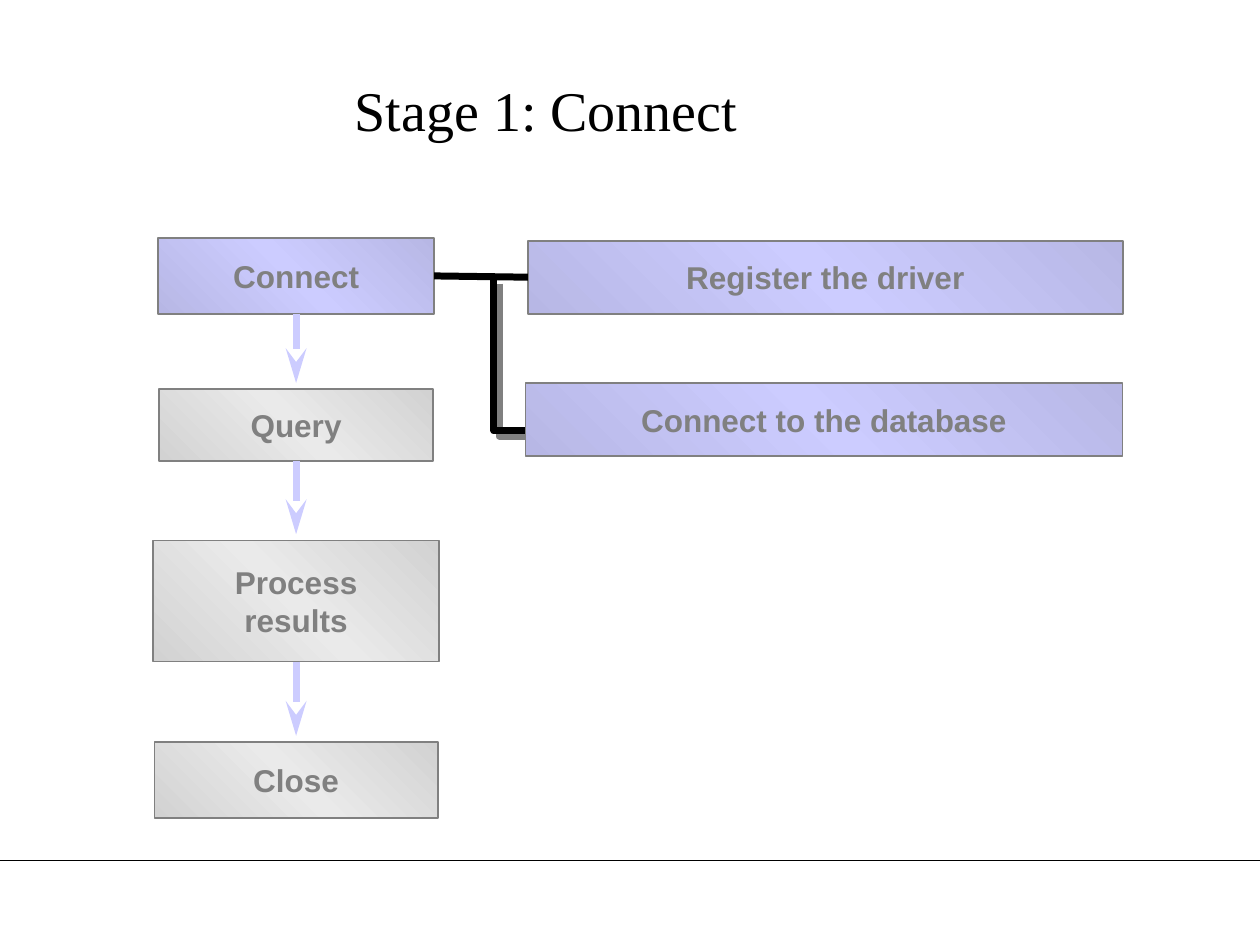
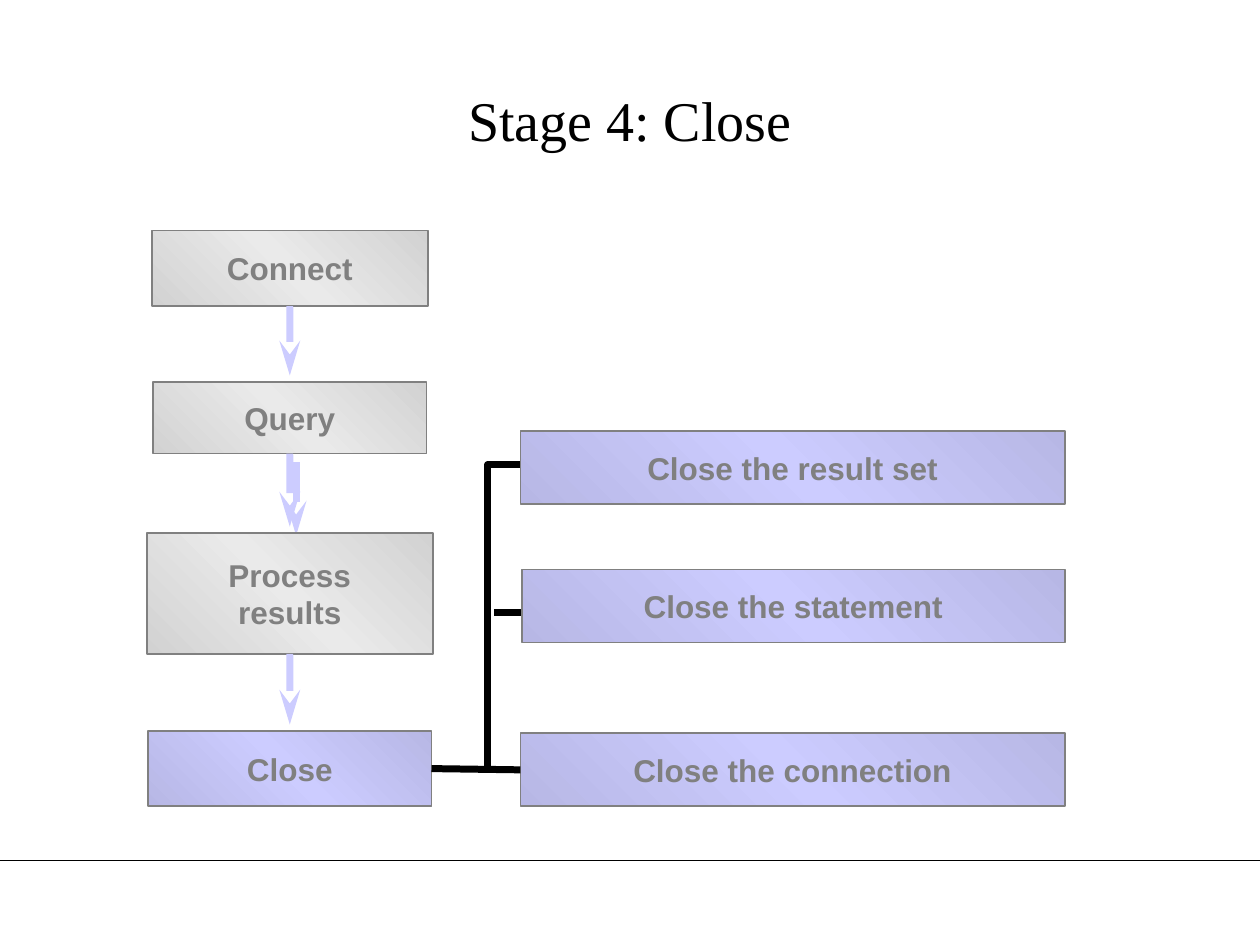
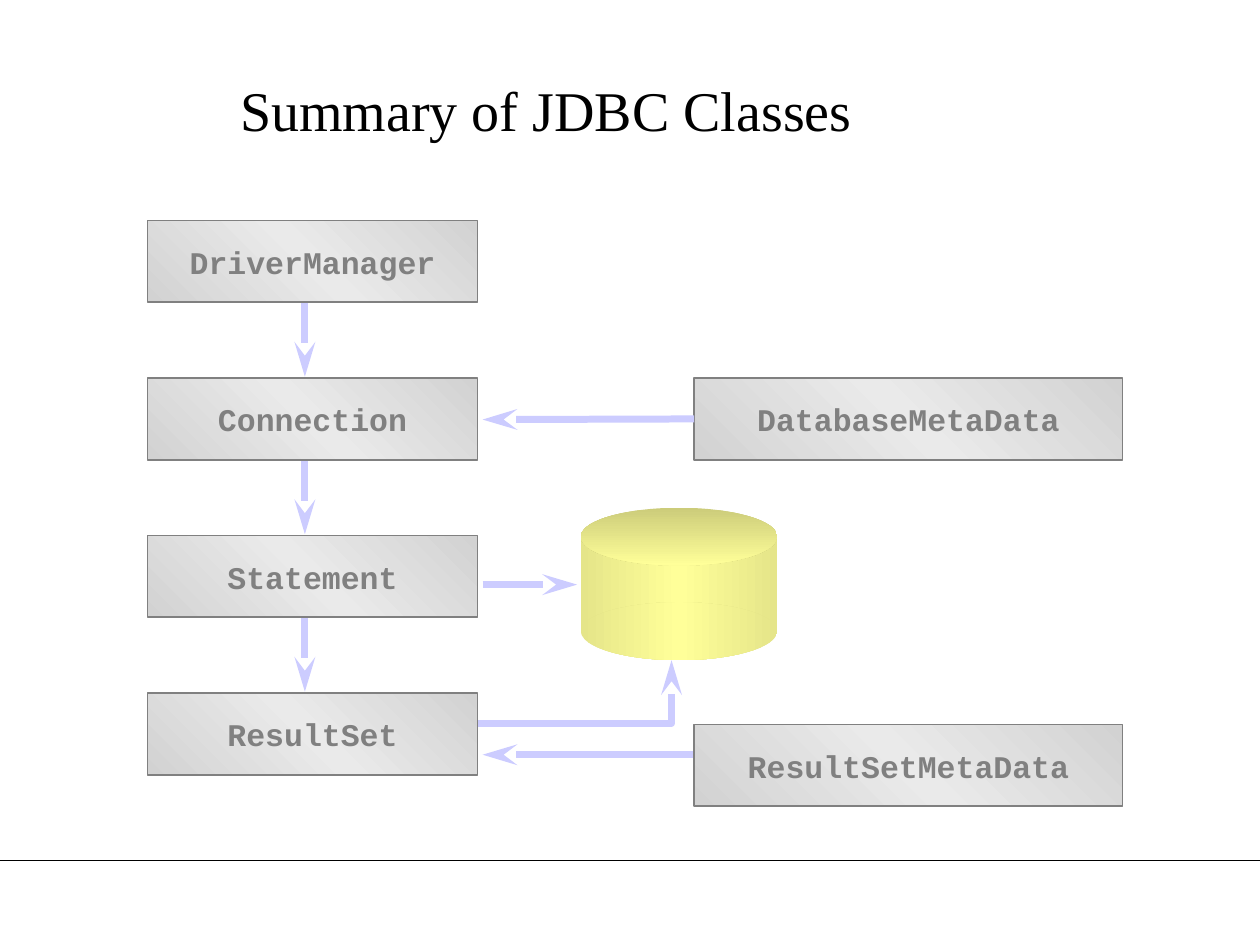
from dataclasses import dataclass

from lxml.etree import SubElement
from pptx import Presentation
from pptx.dml.color import RGBColor
from pptx.enum.shapes import MSO_CONNECTOR, MSO_SHAPE
from pptx.enum.text import MSO_ANCHOR, PP_ALIGN
from pptx.oxml.ns import qn
from pptx.util import Inches, Pt


@dataclass(frozen=True)
class Theme:
    title_font: str = "Times New Roman"
    label_font: str = "Arial"
    code_font: str = "Courier New"
    title_size: int = 32
    label_size: int = 18
    label_space: float = 11.2
    thick: float = 4
    border: float = 1
    rule: float = 0.75
    black: str = "000000"
    gray: str = "808080"
    arrow: str = "CCCCFF"
    silver: tuple = ("D2D2D2", "EAEAEA", "D2D2D2")
    lilac: tuple = ("B7B7E5", "CCCCFF", "B7B7E5")
    yellow: tuple = ("E5E589", "FFFF99", "E5E589")
    lid: tuple = ("CCCC7A", "FFFF99")


T = Theme()
TOP, LEFT, BOTTOM, RIGHT = range(4)  # connection sites of a rectangle


def fill_gradient(sp, colors, angle):
    """Fill with evenly spaced stops; the angle runs counter-clockwise."""
    sp.shadow.inherit = False
    sp.fill.gradient()
    sp.fill.gradient_angle = angle
    stops = sp._element.spPr.find(qn("a:gradFill")).find(qn("a:gsLst"))
    for stop in list(stops):
        stops.remove(stop)
    for i, color in enumerate(colors):
        stop = SubElement(stops, qn("a:gs"), pos=str(100000 * i // (len(colors) - 1)))
        SubElement(stop, qn("a:srgbClr"), val=color)


def style_line(sp, color, width=T.thick, shadow=False):
    """Colour a line; arrow-coloured lines get a head, others stay plain."""
    sp.line.color.rgb = RGBColor.from_string(color)
    sp.line.width = Pt(width)
    spPr = sp._element.spPr
    if color == T.arrow:
        SubElement(spPr.find(qn("a:ln")), qn("a:tailEnd"), type="stealth", w="med", len="lg")
    effects = SubElement(spPr, qn("a:effectLst"))
    if shadow:
        cast = SubElement(effects, qn("a:outerShdw"), dist=str(Pt(4.2)), dir="2700000",
                          algn="ctr", rotWithShape="0")
        SubElement(cast, qn("a:srgbClr"), val=T.gray)


# Stage flow: label, width, height of each step
STEPS = [("Connect", 2.19, 0.6), ("Query", 2.17, 0.57),
         ("Process\nresults", 2.27, 0.96), ("Close", 2.25, 0.6)]
STEP_GAP = 0.05  # between an arrow tip and the next step

# Class diagram grid
CLASS_X, CLASS_Y, CLASS_W, CLASS_H, CLASS_PITCH = 1.17, 1.75, 2.62, 0.65, 1.25
CLASSES = ["DriverManager", "Connection", "Statement", "ResultSet"]
META_X, META_W = 5.51, 3.4

# Boxes: label, left, top, width, height.  Loose lines: x1, y1, x2, y2, colour.
# Joined lines: box, side, then either another box and side or a point.
SLIDES = [
    dict(title="Stage 1: Connect", title_at=(0.5, 0.5, 7.67, 0.5), font=T.label_font,
         flow=(2.35, (1.89, 3.09, 4.29, 5.89)), active="Connect",
         details=[("Register the driver", 4.19, 1.91, 4.72, 0.58),
                  ("Connect to the database", 4.17, 3.04, 4.74, 0.58)],
         loose=[], elbow=[(3.92, 2.21), (3.92, 3.42), (4.5, 3.42)],
         elbow_color=T.black, elbow_shadow=True,
         joined=[("Connect", RIGHT, "Register the driver", LEFT)]),
    dict(title="Stage 4: Close", title_at=(1.01, 0.58, 7.98, 1.12), font=T.label_font,
         flow=(2.3, (1.83, 3.03, 4.23, 5.8)), active="Close",
         details=[("Close the result set", 4.13, 3.42, 4.32, 0.58),
                  ("Close the statement", 4.14, 4.52, 4.31, 0.58),
                  ("Close the connection", 4.13, 5.82, 4.32, 0.58)],
         loose=[(2.35, 3.67, 2.35, 4.25, T.arrow), (3.92, 4.86, 4.33, 4.86, T.black)],
         elbow=[(3.87, 6.11), (3.87, 3.69), (4.45, 3.69)],
         elbow_color=T.black, elbow_shadow=False,
         joined=[("Close", RIGHT, "Close the connection", LEFT)]),
    dict(title="Summary of JDBC Classes", title_at=(0.5, 0.5, 7.67, 0.5), font=T.code_font,
         flow=None, active=None,
         details=[(name, CLASS_X, CLASS_Y + i * CLASS_PITCH, CLASS_W, CLASS_H)
                  for i, name in enumerate(CLASSES)]
         + [("DatabaseMetaData", META_X, 3, META_W, CLASS_H),
            ("ResultSetMetaData", META_X, 5.75, META_W, CLASS_H)],
         loose=[(2.42, y + CLASS_H - 0.02, 2.42, y + CLASS_PITCH - 0.01, T.arrow)
                for y in (CLASS_Y + i * CLASS_PITCH for i in range(3))]
         + [(3.83, 4.64, 4.58, 4.64, T.arrow), (5.5, 5.99, 3.83, 5.99, T.arrow)],
         elbow=[(3.76, 5.74), (5.33, 5.74), (5.33, 5.24)],
         elbow_color=T.arrow, elbow_shadow=False,
         joined=[("DatabaseMetaData", LEFT, 3.83, 3.33)]),
]

prs = Presentation()
prs.slide_width, prs.slide_height = Inches(10), Inches(7.5)

for data in SLIDES:
    s = prs.slides.add_slide(prs.slide_layouts[6])

    # Footer rule and title
    rule = s.shapes.add_connector(MSO_CONNECTOR.STRAIGHT, 0, Inches(6.83),
                                  Inches(10), Inches(6.83))
    style_line(rule, T.black, T.rule)
    tf = s.shapes.add_textbox(*map(Inches, data["title_at"])).text_frame
    tf.word_wrap = True
    tf.margin_top = Inches(0.1)
    p = tf.paragraphs[0]
    p.alignment = PP_ALIGN.CENTER
    r = p.add_run()
    r.text = data["title"]
    r.font.name, r.font.size = T.title_font, Pt(T.title_size)
    r.font.color.rgb = RGBColor.from_string(T.black)

    # Lines that run behind the boxes
    for *ends, color in data["loose"]:
        cx = s.shapes.add_connector(MSO_CONNECTOR.STRAIGHT, *map(Inches, ends))
        style_line(cx, color)
    start, *rest = [(Inches(x), Inches(y)) for x, y in data["elbow"]]
    fb = s.shapes.build_freeform(*start)
    fb.add_line_segments(rest, close=False)
    elbow = fb.convert_to_shape()
    elbow.fill.background()
    style_line(elbow, data["elbow_color"], shadow=data["elbow_shadow"])

    # Stage steps, each with an arrow to the next
    boxes, joined = [], list(data["joined"])
    if data["flow"]:
        center, tops = data["flow"]
        for (label, w, h), top in zip(STEPS, tops):
            boxes.append((label, center - w / 2, top, w, h))
        for (label, _, _), next_top in zip(STEPS, tops[1:]):
            joined.append((label, BOTTOM, center, next_top - STEP_GAP))
    step_count = len(boxes)
    boxes += data["details"]

    # Boxes
    placed = {}
    for i, (label, *at) in enumerate(boxes):
        sp = s.shapes.add_shape(MSO_SHAPE.RECTANGLE, *map(Inches, at))
        placed[label] = sp
        lit = data["active"] and (label == data["active"] or i >= step_count)
        fill_gradient(sp, T.lilac if lit else T.silver, 45)
        sp.line.color.rgb = RGBColor.from_string(T.gray)
        sp.line.width = Pt(T.border)
        tf = sp.text_frame
        tf.word_wrap = False
        tf.vertical_anchor = MSO_ANCHOR.MIDDLE
        p = tf.paragraphs[0]
        p.alignment = PP_ALIGN.CENTER
        p.space_before = Pt(T.label_space)
        for n, text in enumerate(label.split("\n")):
            if n:
                p.add_line_break()
            r = p.add_run()
            r.text = text
            r.font.name, r.font.size, r.font.bold = data["font"], Pt(T.label_size), True
            r.font.color.rgb = RGBColor.from_string(T.gray)

    # Lines joined to boxes
    for label, side, *end in joined:
        to_box = end[0] in placed
        tip = (0, 0) if to_box else map(Inches, end)
        cx = s.shapes.add_connector(MSO_CONNECTOR.STRAIGHT, 0, 0, *tip)
        cx.begin_connect(placed[label], side)
        if to_box:
            cx.end_connect(placed[end[0]], end[1])
        style_line(cx, T.black if to_box else T.arrow)

# Database cylinder on the class summary
for kind, top, h, colors, angle in [
    (MSO_SHAPE.RECTANGLE, 4.28, 0.72, T.yellow, 0),
    (MSO_SHAPE.OVAL, 4.03, 0.46, T.lid, 270),
    (MSO_SHAPE.OVAL, 4.78, 0.46, T.yellow, 0),
]:
    sp = s.shapes.add_shape(kind, Inches(4.61), Inches(top), Inches(1.56), Inches(h))
    fill_gradient(sp, colors, angle)
    sp.line.fill.background()

prs.save("out.pptx")
